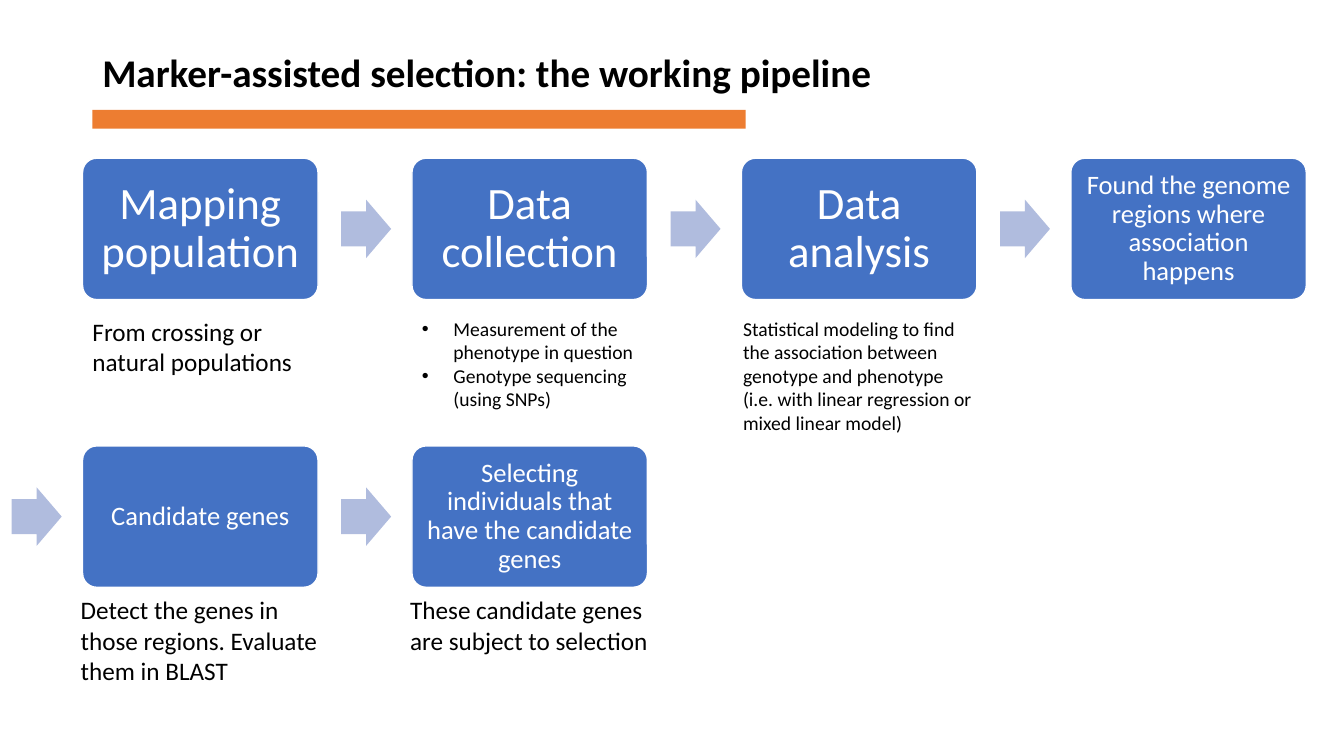
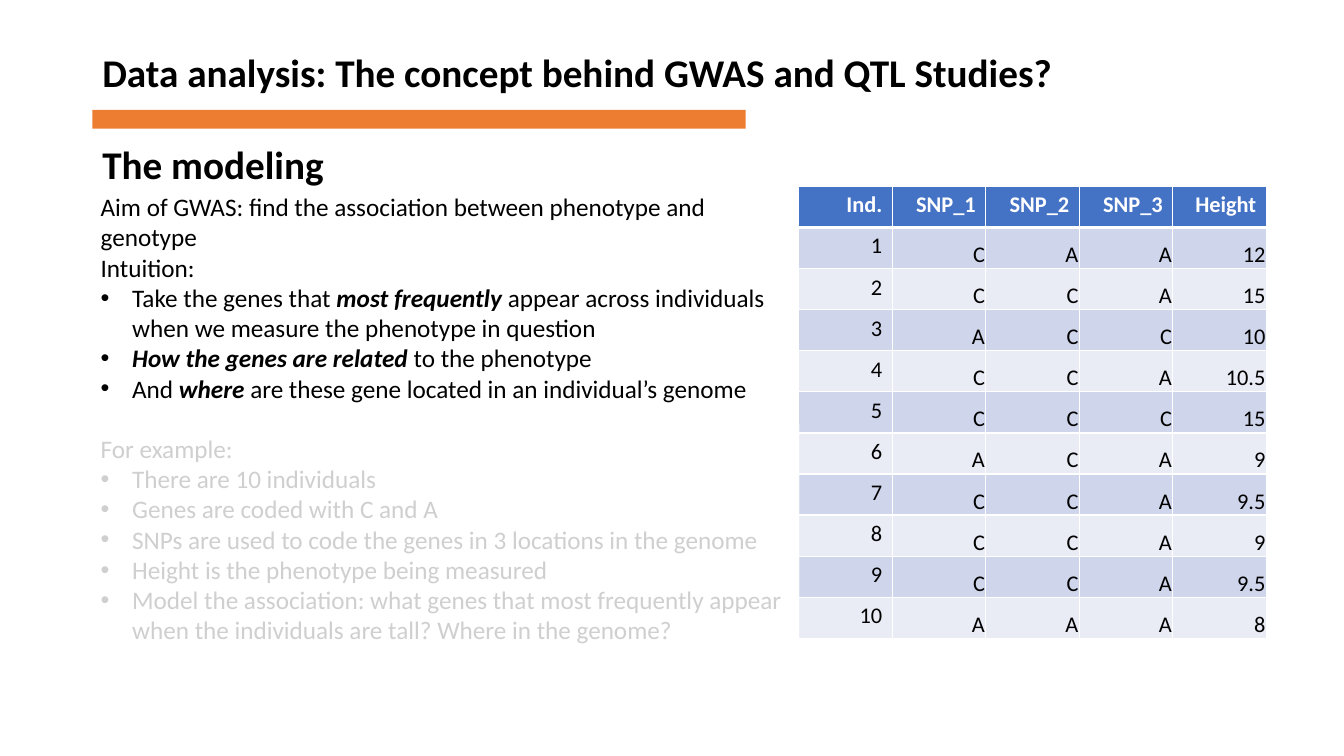
"""Build two slides on marker-assisted selection and GWAS modeling."""
from lxml import etree
from pptx import Presentation
from pptx.dml.color import RGBColor
from pptx.enum.shapes import MSO_SHAPE
from pptx.enum.text import MSO_ANCHOR, MSO_AUTO_SIZE, PP_ALIGN
from pptx.oxml.ns import qn
from pptx.util import Pt

RECTANGLE = MSO_SHAPE.RECTANGLE
ROUNDED = MSO_SHAPE.ROUNDED_RECTANGLE
ARROW = MSO_SHAPE.RIGHT_ARROW
MIDDLE, BOTTOM = MSO_ANCHOR.MIDDLE, MSO_ANCHOR.BOTTOM
CENTER, RIGHT = PP_ALIGN.CENTER, PP_ALIGN.RIGHT
GROW = MSO_AUTO_SIZE.SHAPE_TO_FIT_TEXT

FONT = "Calibri"
COLORS = {
    "text": "000000",
    "white": "FFFFFF",
    "accent": "ED7D31",
    "stage": "4472C4",
    "arrow": "B0BCDE",
    "odd_row": "CFD5EA",
    "even_row": "E9EBF5",
}


def write(frame, lines, size, color="text", bold=False, align=None, spacing=None):
    """Fill a frame; '• ' starts a bullet and '*' encloses emphasis."""
    frame.word_wrap = True
    for index, line in enumerate(lines):
        paragraph = frame.paragraphs[0] if index == 0 else frame.add_paragraph()
        if line.startswith("• "):
            properties = paragraph._p.get_or_add_pPr()
            properties.set("marL", str(Pt(22.5)))
            properties.set("indent", str(-Pt(22.5)))
            etree.SubElement(properties, qn("a:buFont"), typeface="Arial")
            etree.SubElement(properties, qn("a:buChar"), char="•")
        for part_index, part in enumerate(line.removeprefix("• ").split("*")):
            if part:
                run = paragraph.add_run()
                run.text = part
                if part_index % 2:
                    run.font.bold = run.font.italic = True
        paragraph.alignment = align
        paragraph.line_spacing = spacing
        paragraph.font.name = FONT
        paragraph.font.size = Pt(size)
        paragraph.font.bold = bold
        paragraph.font.color.rgb = RGBColor.from_string(COLORS[color])


def add_block(slide, kind, left, top, width, height, color):
    """Add a flat filled shape without outline."""
    block = slide.shapes.add_shape(kind, Pt(left), Pt(top), Pt(width), Pt(height))
    block.shadow.inherit = False
    block.fill.solid()
    block.fill.fore_color.rgb = RGBColor.from_string(COLORS[color])
    block.line.fill.background()
    return block


prs = Presentation()
prs.slide_width, prs.slide_height = Pt(960), Pt(540)
pipeline = prs.slides.add_slide(prs.slide_layouts[6])
modeling = prs.slides.add_slide(prs.slide_layouts[6])

TITLE_TOP, SUBTITLE_TOP = 28.8, 94.5
headings = [
    (pipeline, TITLE_TOP, "Marker-assisted selection: the working pipeline"),
    (modeling, TITLE_TOP, "Data analysis: The concept behind GWAS and QTL Studies?"),
    (modeling, SUBTITLE_TOP, "The modeling"),
]
for slide, top, heading in headings:
    frame = slide.shapes.add_textbox(Pt(66), Pt(top), Pt(828), Pt(49.7)).text_frame
    frame.vertical_anchor = MIDDLE
    write(frame, [heading], 28, bold=True, spacing=0.9)
    if top == TITLE_TOP:
        add_block(slide, RECTANGLE, 66, 78.5, 466.6, 13.5, "accent")

STAGE_LEFT, STAGE_PITCH = 59, 235.3
STAGE_WIDTH, STAGE_HEIGHT = 168.2, 101
STAGE_TOPS, CAPTION_TOPS = [113, 318.5], [222.5, 421.2]
STAGE_INSETS = {32: 8.8, 19: 5.5}
ARROW_WIDTH, ARROW_HEIGHT, ARROW_OFFSET = 35.7, 41.7, 50.6

stages = [
    (0, 0, "Mapping population", 32, 168.2, 18,
     ["From crossing or natural populations"]),
    (0, 1, "Data collection", 32, 168.2, 14,
     ["• Measurement of the phenotype in question",
      "• Genotype sequencing (using SNPs)"]),
    (0, 2, "Data analysis", 32, 180, 14,
     ["Statistical modeling to find the association between genotype and phenotype",
      "(i.e. with linear regression or mixed linear model)"]),
    (0, 3, "Found the genome regions where association happens", 19, 0, 0, []),
    (1, 0, "Candidate genes", 19, 185, 18,
     ["Detect the genes in those regions. Evaluate them in BLAST"]),
    (1, 1, "Selecting individuals that have the candidate genes", 19, 185, 18,
     ["These candidate genes are subject to selection"]),
]
for row, column, name, name_size, caption_width, caption_size, caption in stages:
    left, top = STAGE_LEFT + column * STAGE_PITCH, STAGE_TOPS[row]
    stage = add_block(pipeline, ROUNDED, left, top, STAGE_WIDTH, STAGE_HEIGHT, "stage")
    stage.adjustments[0] = 0.1
    stage.line.color.rgb = RGBColor.from_string(COLORS["white"])
    stage.line.width = Pt(1)
    frame = stage.text_frame
    inset = Pt(STAGE_INSETS[name_size])
    frame.margin_left = frame.margin_right = inset
    frame.margin_top = frame.margin_bottom = inset
    frame.vertical_anchor = MIDDLE
    write(frame, [name], name_size, "white", align=CENTER, spacing=0.9)

    if row or column:
        arrow = add_block(pipeline, ARROW, left - ARROW_OFFSET,
                          top + (STAGE_HEIGHT - ARROW_HEIGHT) / 2,
                          ARROW_WIDTH, ARROW_HEIGHT, "arrow")
        arrow.adjustments[0] = 0.6
        arrow.adjustments[1] = 0.5

    if caption:
        caption_left = left + (STAGE_WIDTH - caption_width) / 2
        frame = pipeline.shapes.add_textbox(
            Pt(caption_left), Pt(CAPTION_TOPS[row]), Pt(caption_width), Pt(51)).text_frame
        frame.auto_size = GROW
        write(frame, caption, caption_size)

explanation = [
    "Aim of GWAS: find the association between phenotype and genotype",
    "Intuition:",
    "• Take the genes that *most frequently *appear across individuals when we measure "
    "the phenotype in question",
    "• *How the genes are related *to the phenotype",
    "• And *where *are these gene located in an individual’s genome",
    "For example:",
    "• There are 10 individuals",
    "• Genes are coded with C and A",
    "• SNPs are used to code the genes in 3 locations in the genome",
    "• Height is the phenotype being measured",
    "• Model the association: what genes that most frequently appear when the individuals "
    "are tall? Where in the genome?",
]
frame = modeling.shapes.add_textbox(Pt(64.8), Pt(133.2), Pt(506), Pt(334)).text_frame
frame.auto_size = GROW
write(frame, explanation, 18)
frame.paragraphs[explanation.index("For example:")].space_before = Pt(21.5)

observations = [
    ("Ind.", "SNP_1", "SNP_2", "SNP_3", "Height"),
    ("1", "C", "A", "A", "12"),
    ("2", "C", "C", "A", "15"),
    ("3", "A", "C", "C", "10"),
    ("4", "C", "C", "A", "10.5"),
    ("5", "C", "C", "C", "15"),
    ("6", "A", "C", "A", "9"),
    ("7", "C", "C", "A", "9.5"),
    ("8", "C", "C", "A", "9"),
    ("9", "C", "C", "A", "9.5"),
    ("10", "A", "A", "A", "8"),
]
table = modeling.shapes.add_table(len(observations), len(observations[0]), Pt(570.6),
                                  Pt(133.2), Pt(334), Pt(323)).table
for row, values in enumerate(observations):
    table.rows[row].height = Pt(29.36)
    row_color = "stage" if row == 0 else "odd_row" if row % 2 else "even_row"
    for column, value in enumerate(values):
        cell = table.cell(row, column)
        cell.fill.solid()
        cell.fill.fore_color.rgb = RGBColor.from_string(COLORS[row_color])
        if row == 0:
            rule = etree.Element(qn("a:lnB"), w=str(Pt(3)))
            rule_fill = etree.SubElement(rule, qn("a:solidFill"))
            etree.SubElement(rule_fill, qn("a:srgbClr"), val=COLORS["white"])
            cell._tc.tcPr.insert(0, rule)
        elif column:
            cell.vertical_anchor = BOTTOM
            cell.margin_left = cell.margin_right = cell.margin_top = Pt(0.7)
            cell.margin_bottom = Pt(0)
        write(cell.text_frame, [value], 16, "text" if row else "white",
              bold=row == 0, align=RIGHT)

veil = add_block(modeling, RECTANGLE, 14.4, 303, 556.6, 186, "white")
veil_color = veil.fill._xPr.find(qn("a:solidFill"))[0]
etree.SubElement(veil_color, qn("a:alpha"), val="81000")

prs.save("out.pptx")
